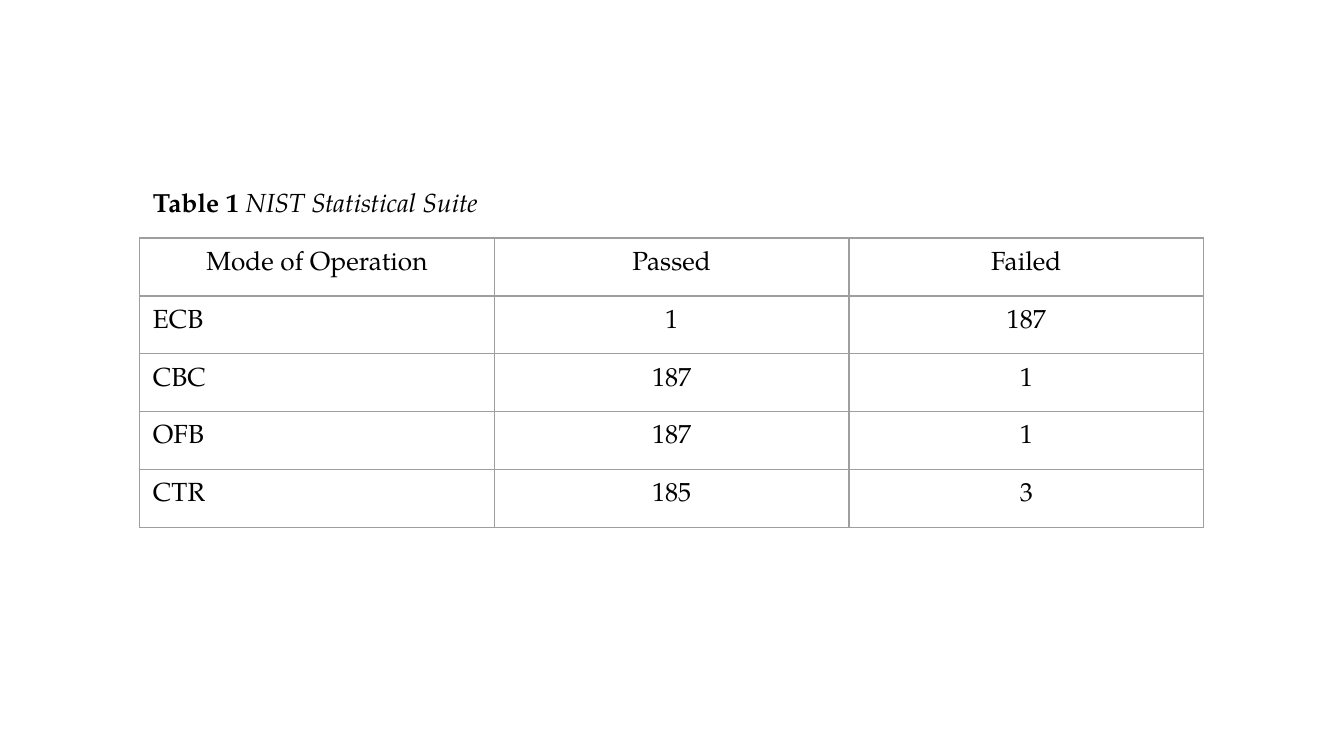
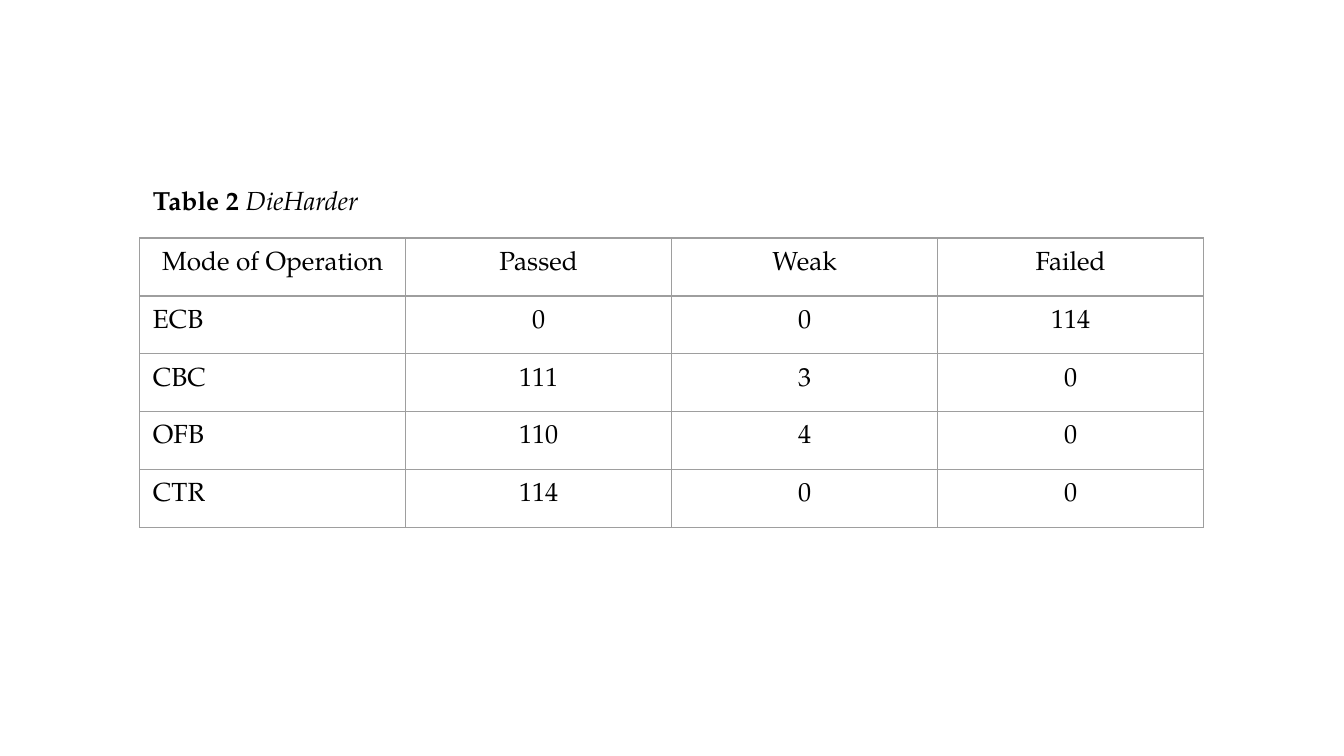
from pptx import Presentation
from pptx.dml.color import RGBColor as Rgb
from pptx.enum.text import MSO_ANCHOR as Anchor, PP_ALIGN as Align
from pptx.oxml import parse_xml
from pptx.oxml.ns import nsdecls
from pptx.util import Cm, Pt

COLOURS = {"text": "000000", "border": "9E9E9E", "page": "FFFFFF"}
FONT = "TeX Gyre Pagella"
FONT_SIZE = Pt(14)
INSET = Cm(0.25)
BORDER_WIDTH = Pt(0.75)

TABLE_LEFT, TABLE_TOP, TABLE_WIDTH = Cm(2.64), Cm(4.5), Cm(20.11)
ROW_HEIGHT = Cm(1.06)

RESULTS = [
    {
        "label": "Table 1 ",
        "name": "NIST Statistical Suite",
        "caption_size": (Cm(8.4), Cm(1.22)),
        "rows": [
            ("Mode of Operation", "Passed", "Failed"),
            ("ECB", "1", "187"),
            ("CBC", "187", "1"),
            ("OFB", "187", "1"),
            ("CTR", "185", "3"),
        ],
    },
    {
        "label": "Table 2 ",
        "name": "DieHarder",
        "caption_size": (Cm(5.5), Cm(1.27)),
        "rows": [
            ("Mode of Operation", "Passed", "Weak", "Failed"),
            ("ECB", "0", "0", "114"),
            ("CBC", "111", "3", "0"),
            ("OFB", "110", "4", "0"),
            ("CTR", "114", "0", "0"),
        ],
    },
]


def style_paragraph(para, align):
    para.alignment = align
    para.font.name = FONT
    para.font.size = FONT_SIZE
    para.font.color.rgb = Rgb.from_string(COLOURS["text"])


def set_insets(holder):
    """Give a cell or a text frame the same inset on all sides."""
    holder.margin_left = holder.margin_right = INSET
    holder.margin_top = holder.margin_bottom = INSET


def add_caption(page, left, bottom, size, label, name):
    """Place a bold label and an italic name in a box ending at bottom."""
    width, height = size
    box = page.shapes.add_textbox(left, bottom - height, width, height)
    frame = box.text_frame
    frame.word_wrap = True
    frame.vertical_anchor = Anchor.TOP
    set_insets(frame)
    para = frame.paragraphs[0]
    style_paragraph(para, Align.LEFT)
    label_span, name_span = para.add_run(), para.add_run()
    label_span.text, label_span.font.bold = label, True
    name_span.text, name_span.font.italic = name, True


def add_borders(cell):
    properties = cell._tc.get_or_add_tcPr()
    for side in "LRTB":
        properties.append(parse_xml(
            f'<a:ln{side} {nsdecls("a")} w="{BORDER_WIDTH}"><a:solidFill>'
            f'<a:srgbClr val="{COLOURS["border"]}"/></a:solidFill></a:ln{side}>'
        ))


def fill_cell(cell, text, align):
    set_insets(cell)
    cell.vertical_anchor = Anchor.TOP
    cell.text = text
    style_paragraph(cell.text_frame.paragraphs[0], align)
    add_borders(cell)
    cell.fill.background()


def add_result_table(page, left, top, width, rows):
    """Draw equal columns; only the mode names are set flush left."""
    column_count = len(rows[0])
    table = page.shapes.add_table(
        len(rows), column_count, left, top, width, ROW_HEIGHT * len(rows)
    ).table
    table.first_row = table.horz_banding = False
    for column in table.columns:
        column.width = width // column_count
    for row_index, values in enumerate(rows):
        table.rows[row_index].height = ROW_HEIGHT
        for column_index, value in enumerate(values):
            is_mode = row_index > 0 and column_index == 0
            align = Align.LEFT if is_mode else Align.CENTER
            fill_cell(table.cell(row_index, column_index), value, align)


def add_result_page(deck, result):
    page = deck.slides.add_slide(deck.slide_layouts[6])
    page.background.fill.solid()
    page.background.fill.fore_color.rgb = Rgb.from_string(COLOURS["page"])
    add_caption(page, TABLE_LEFT, TABLE_TOP, result["caption_size"],
                result["label"], result["name"])
    add_result_table(page, TABLE_LEFT, TABLE_TOP, TABLE_WIDTH, result["rows"])


def main():
    deck = Presentation()
    deck.slide_width, deck.slide_height = Cm(25.4), Cm(14.29)
    for result in RESULTS:
        add_result_page(deck, result)
    deck.save("out.pptx")


if __name__ == "__main__":
    main()
